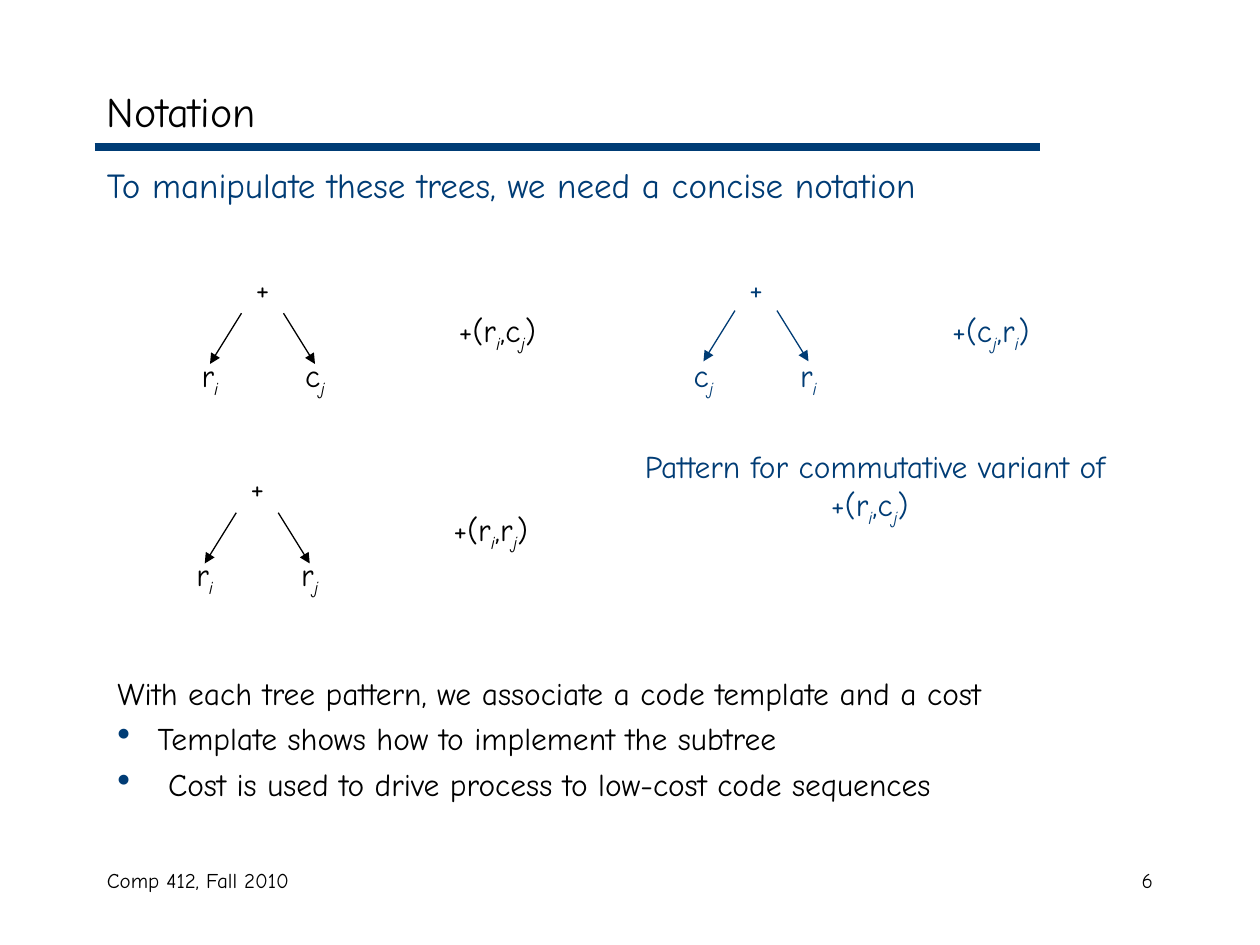
from lxml import etree
from pptx import Presentation
from pptx.dml.color import RGBColor
from pptx.enum import shapes, text
from pptx.oxml import ns
from pptx.util import Pt

BLACK = RGBColor(0, 0, 0)
NAVY = RGBColor(0x00, 0x3C, 0x75)
FACE = "Comic Neue"
MID = text.PP_ALIGN.CENTER
RIGHT = text.PP_ALIGN.RIGHT


def put(node, tag, **vals):
    """Append a drawing element with the given attributes."""
    part = etree.SubElement(node, ns.qn(tag))
    for key, val in vals.items():
        part.set(key, str(val))
    return part


def fill(para, words, size=18, color=BLACK, **form):
    """Write words in a paragraph; the letter after each underscore is a subscript."""
    for key, val in form.items():
        setattr(para, key, val)
    head, *rest = words.split("_")
    bits = [(head, False)]
    for bit in rest:
        bits += [(bit[0], True), (bit[1:], False)]
    for word, sub in bits:
        if not word:
            continue
        run = para.add_run()
        run.text = word
        looks = {"name": FACE, "size": Pt(size), "italic": sub}
        for key, val in looks.items():
            setattr(run.font, key, val)
        run.font.color.rgb = color
        if sub:
            run.font._element.set("baseline", "-25000")


def write(slide, box, words, lift=0, anchor=text.MSO_ANCHOR.TOP, **form):
    """Place a text box whose top edge is raised by lift while its text stays."""
    x, y, w, h = box
    shape = slide.shapes.add_textbox(Pt(x), Pt(y - lift), Pt(w), Pt(h + lift))
    frame = shape.text_frame
    looks = {"word_wrap": True, "margin_top": Pt(3.6 + lift),
             "vertical_anchor": anchor}
    for key, val in looks.items():
        setattr(frame, key, val)
    fill(frame.paragraphs[0], words, **form)
    return shape


def line(slide, ends, color, width):
    """Draw a straight line without a shadow."""
    kind = shapes.MSO_CONNECTOR.STRAIGHT
    link = slide.shapes.add_connector(kind, *map(Pt, ends))
    link.line.color.rgb = color
    link.line.width = Pt(width)
    put(link._element.spPr, "a:effectLst")
    return link


def header(slide, box):
    """Place the title, the rule and the lead sentence."""
    x, y, w, h = box
    write(slide, (x, y, w, h), "Notation", size=24,
          anchor=text.MSO_ANCHOR.MIDDLE)
    line(slide, (x, y + h, x + 540, y + h), NAVY, 4.5)
    write(slide, (x, y + h + 6, w, 36),
          "To manipulate these trees, we need a concise notation",
          size=20, color=NAVY)


def tree(slide, box, leaves, color=BLACK, lift=0):
    """Place a plus node with arrows to two leaves."""
    x, y, w, h = box
    mid = x + w / 2
    write(slide, (mid - 12, y, 24, 50), "+", color=color, alignment=MID)
    for leaf, left, start in zip(leaves, (x, x + w - 36), (mid - 12, mid + 12)):
        node = write(slide, (left, y + h - 20, 36, 20), leaf, lift=lift,
                     color=color, alignment=MID, line_spacing=0.5)
        ends = start, y + 29 - lift, left + 18, y + h - 20 - lift
        link = line(slide, ends, color, 0.75)
        link.end_connect(node, 0)
        put(link.line._get_or_add_ln(), "a:tailEnd", type="triangle")


def term(slide, box, words, color=BLACK, **form):
    """Place the notation for a tree."""
    write(slide, box, words, color=color, **form)


def notes(slide, box):
    """Place the closing sentence and its two bullets."""
    lead = "With each tree pattern, we associate a code template and a cost"
    frame = write(slide, box, lead).text_frame
    items = (("Template shows how to implement the subtree", 23),
             ("Cost is used to drive process to low-cost code sequences", 29))
    for words, gap in items:
        para = frame.add_paragraph()
        form = para._p.get_or_add_pPr()
        form.set("marL", str(Pt(gap)))
        form.set("indent", str(-Pt(gap)))
        put(put(form, "a:buClr"), "a:srgbClr", val=NAVY)
        put(form, "a:buSzPct", val=120000)
        put(form, "a:buChar", char="•")
        fill(para, words, space_before=Pt(4.5))


def footer(slide, box):
    """Place the course name and the page number."""
    x, y, w, h = box
    write(slide, (x, y, 228, h), "Comp 412, Fall 2010", size=12)
    write(slide, (x + w - 150, y, 150, h), "6", size=12, alignment=RIGHT)


def main():
    """Build and save the slide."""
    deck = Presentation()
    deck.slide_width, deck.slide_height = Pt(720), Pt(540)
    slide = deck.slides.add_slide(deck.slide_layouts[6])
    header(slide, (54, 42, 612, 42))
    tree(slide, (102, 150, 96, 78), ("r_i", "c_j"))
    term(slide, (255, 174, 75, 32), "+(r_i,c_j)")
    tree(slide, (99, 264, 96, 78), ("r_i", "r_j"))
    term(slide, (252, 288, 144, 32), "+(r_i,r_j)")
    tree(slide, (384, 150, 96, 78), ("c_j", "r_i"), NAVY, 1.5)
    term(slide, (537, 174, 75, 32), "+(c_j,r_i)", NAVY)
    term(slide, (360, 252, 280, 53),
         "Pattern for commutative variant of +(r_i,c_j) ", NAVY, alignment=MID)
    notes(slide, (60, 381.5, 606, 81))
    footer(slide, (54, 492, 612, 36))
    deck.save("out.pptx")


if __name__ == "__main__":
    main()
